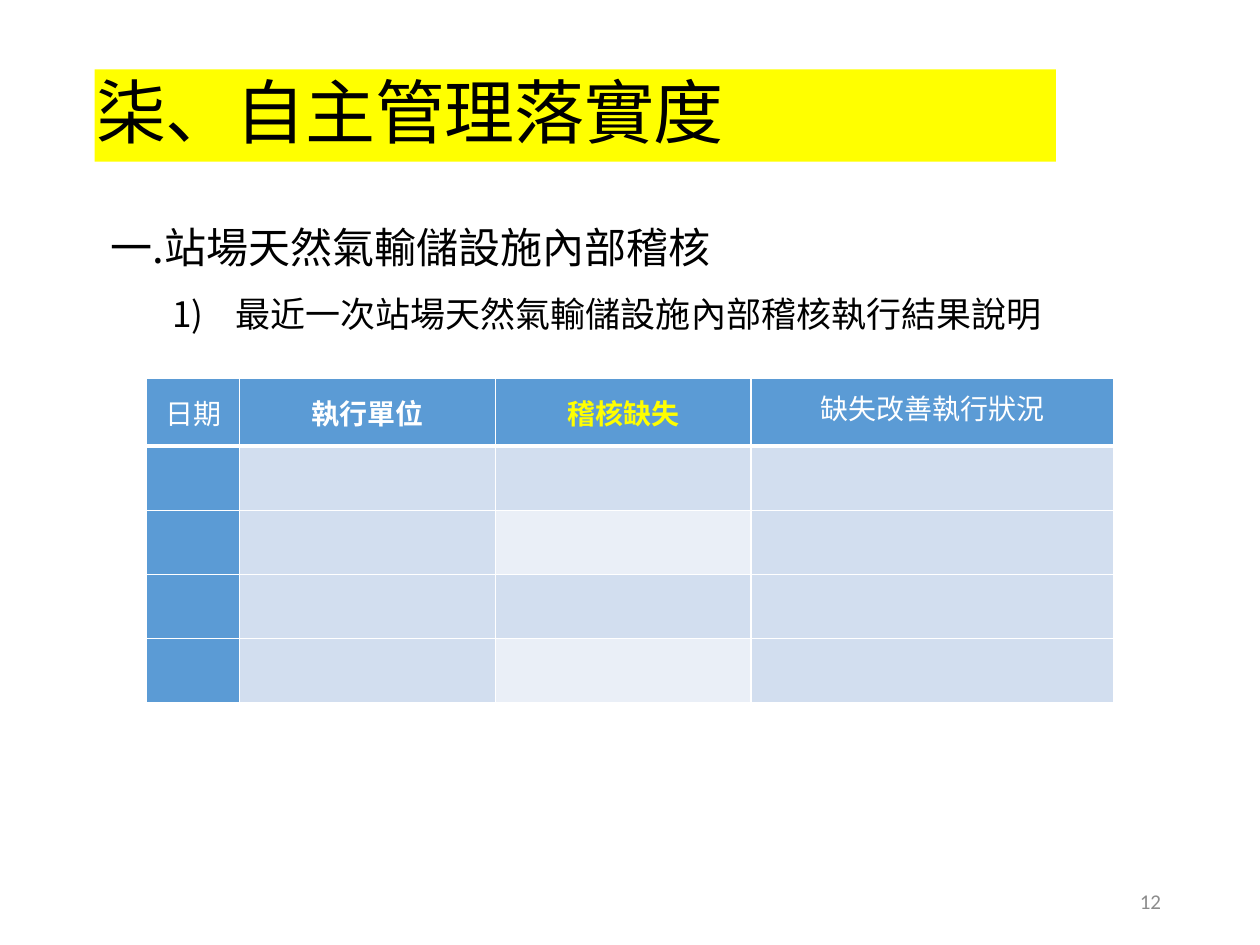
from dataclasses import dataclass
from pptx import Presentation
from pptx.dml.color import RGBColor
from pptx.enum import text
from pptx.oxml import ns, xmlchemy
from pptx.util import Pt


@dataclass(frozen=True)
class Theme:
    cjk: str = "Noto Sans CJK SC"
    latin: str = "Calibri"
    ink: str = "000000"
    white: str = "FFFFFF"
    yellow: str = "FFFF00"
    grey: str = "8C8C8C"
    header: str = "5B9BD5"
    band: str = "D2DEEF"
    band_light: str = "EAEFF7"
    title: int = 40
    heading: int = 24
    item: int = 20
    cell: int = 16
    number: int = 12


T = Theme()
MIDDLE = text.MSO_ANCHOR.MIDDLE
LEFT, CENTER, RIGHT = text.PP_ALIGN.LEFT, text.PP_ALIGN.CENTER, text.PP_ALIGN.RIGHT
GROW = text.MSO_AUTO_SIZE.SHAPE_TO_FIT_TEXT


def apply(obj, **values):
    for name, value in values.items():
        setattr(obj, name, value)


def child(parent, tag, **attrs):
    el = xmlchemy.OxmlElement(tag)
    for name, value in attrs.items():
        el.set(name, str(value))
    parent.append(el)
    return el


def place(sp, box):
    apply(sp, **dict(zip(("left", "top", "width", "height"), map(Pt, box))))


def write(p, words, size, color, font=T.cjk, bold=False, **para):
    apply(p, **para)
    r = p.add_run()
    r.text = words
    apply(r.font, size=Pt(size), name=font, bold=bold)
    r.font.color.rgb = RGBColor.from_string(color)
    child(r._r.get_or_add_rPr(), "a:ea", typeface=font)
    return r


def add_title(s, box, words):
    sp = s.shapes.title
    place(sp, box)
    sp.fill.solid()
    sp.fill.fore_color.rgb = RGBColor.from_string(T.yellow)
    tf = sp.text_frame
    apply(tf, margin_left=0, margin_top=0, margin_right=0, margin_bottom=0,
          vertical_anchor=MIDDLE, word_wrap=True, auto_size=GROW)
    p = tf.paragraphs[0]
    r = write(p, words, T.title, T.ink, alignment=LEFT, line_spacing=0.9, space_before=Pt(0))
    r._r.get_or_add_rPr().set("spc", "-10")
    p._p.get_or_add_pPr().set("marL", str(Pt(1)))


def add_body(s, box, heading, item):
    sp = s.placeholders[1]
    place(sp, box)
    tf = sp.text_frame
    apply(tf, vertical_anchor=MIDDLE, word_wrap=True, auto_size=GROW)
    lines = (
        (tf.paragraphs[0], heading, T.heading, 0, 0, "a:buNone", {}),
        (tf.add_paragraph(), item, T.item, 71.25, -36, "a:buAutoNum", {"type": "arabicParenR"}),
    )
    for p, words, size, margin, indent, bullet, attrs in lines:
        write(p, words, size, T.ink, alignment=LEFT, line_spacing=1.5, space_before=Pt(0))
        pPr = p._p.get_or_add_pPr()
        pPr.set("marL", str(Pt(margin)))
        pPr.set("indent", str(Pt(indent)))
        child(pPr, bullet, **attrs)


def style_cell(cell, fill, bottom):
    tcPr = cell._tc.get_or_add_tcPr()
    for side, width in (("L", 1), ("R", 1), ("T", 1), ("B", bottom)):
        ln = child(tcPr, f"a:ln{side}", w=Pt(width))
        child(child(ln, "a:solidFill"), "a:srgbClr", val=T.white)
    cell.fill.solid()
    cell.fill.fore_color.rgb = RGBColor.from_string(fill)


def add_audit_table(s, box, widths, heights, headers):
    frame = s.shapes.add_table(len(heights), len(widths), *map(Pt, box))
    table = frame.table
    for col, width in zip(table.columns, widths):
        col.width = Pt(width)
    for row, height in zip(table.rows, heights):
        row.height = Pt(height)
    for i in range(len(heights)):
        for j in range(len(widths)):
            if i == 0 or j == 0:
                fill = T.header
            else:
                fill = T.band_light if j == 2 and i % 2 == 0 else T.band
            style_cell(table.cell(i, j), fill, 3 if i == 0 else 1)
    for j, (words, color, bold, para) in enumerate(headers):
        cell = table.cell(0, j)
        apply(cell, margin_left=Pt(5), margin_right=Pt(5), margin_top=0,
              margin_bottom=0, vertical_anchor=MIDDLE)
        write(cell.text_frame.paragraphs[0], words, T.cell, color, bold=bold,
              alignment=CENTER, **para)


def add_page_number(s, box, number):
    tf = s.shapes.add_textbox(*map(Pt, box)).text_frame
    apply(tf, word_wrap=True, vertical_anchor=MIDDLE)
    write(tf.paragraphs[0], number, T.number, T.grey, font=T.latin, alignment=RIGHT)


prs = Presentation()
apply(prs, slide_width=Pt(720), slide_height=Pt(540))
s = prs.slides.add_slide(prs.slide_layouts[1])
add_title(s, (54, 44, 549.36, 44), "柒、自主管理落實度")
add_body(s, (56, 108, 594, 87), "一.站場天然氣輸儲設施內部稽核",
         "最近一次站場天然氣輸儲設施內部稽核執行結果說明")
add_audit_table(
    s, (83.75, 216, 552.75, 185.75),
    (53.25, 146.1, 146.1, 207.3), (38.9,) + (36.7,) * 4,
    (("日期", T.white, False, {}),
     ("執行單位", T.white, True, {}),
     ("稽核缺失", T.yellow, True, {}),
     ("缺失改善執行狀況", T.white, False, {"line_spacing": Pt(18)})))
add_page_number(s, (508.5, 500.5, 162, 28.75), "12")
prs.save("out.pptx")
